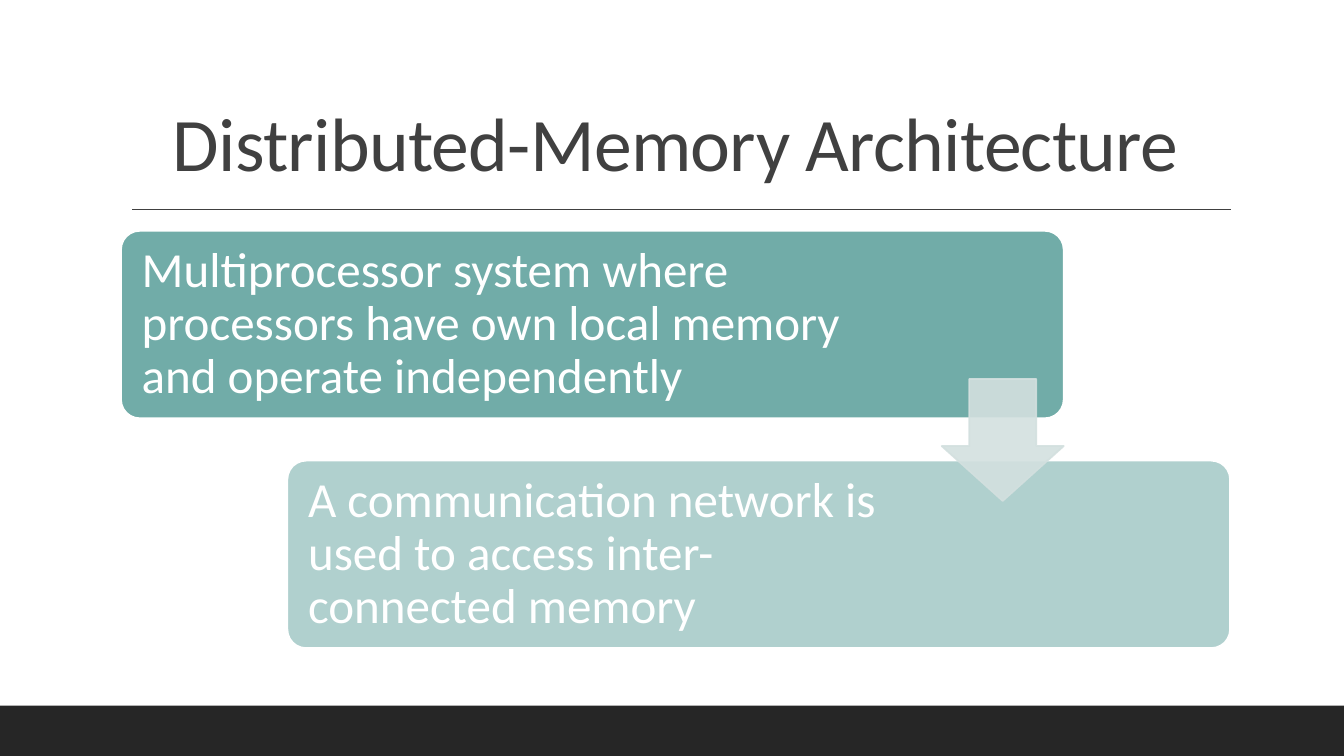
from lxml import etree
from pptx import Presentation
from pptx.dml.color import RGBColor
from pptx.enum.shapes import MSO_CONNECTOR, MSO_SHAPE
from pptx.enum.text import MSO_ANCHOR, MSO_AUTO_SIZE, PP_ALIGN
from pptx.oxml.ns import qn
from pptx.util import Inches, Pt

RECTANGLE, ROUNDED = MSO_SHAPE.RECTANGLE, MSO_SHAPE.ROUNDED_RECTANGLE
DOWN_ARROW, STRAIGHT = MSO_SHAPE.DOWN_ARROW, MSO_CONNECTOR.STRAIGHT
MIDDLE, BOTTOM, CENTER = MSO_ANCHOR.MIDDLE, MSO_ANCHOR.BOTTOM, PP_ALIGN.CENTER
NO_AUTOFIT = MSO_AUTO_SIZE.NONE

WHITE = RGBColor(0xFF, 0xFF, 0xFF)
CHARCOAL = RGBColor(0x26, 0x26, 0x26)
GREY = RGBColor(0x40, 0x40, 0x40)
TEAL = RGBColor(0x62, 0xA3, 0x9F)
PALE_TEAL = RGBColor(0xD3, 0xE0, 0xDF)
FONT = "Calibri"

# Slide and step grid, in inches
WIDTH, HEIGHT = 13.33, 7.5
FOOTER_HEIGHT = HEIGHT / 15
LEFT, TOP = 1.2, 2.29
STEP_WIDTH, STEP_HEIGHT = 9.35, 1.86
SHIFT_X, SHIFT_Y = 1.65, 2.28
TEXT_MARGIN = 0.055
ARROW_SIZE = 1.21

# Text, text width and fill opacity in percent
STEPS = [
    ("Multiprocessor system where processors have own local memory "
     "and operate independently", 7.42, 90),
    ("A communication network is used to access inter-connected memory",
     6.38, 50),
]


def set_opacity(color_format_parent, percent):
    for color in color_format_parent.iter(qn("a:srgbClr")):
        alpha = etree.SubElement(color, qn("a:alpha"))
        alpha.set("val", str(percent * 1000))


def add_block(slide, kind, box, fill, line=None, adjustments=()):
    shape = slide.shapes.add_shape(kind, *map(Inches, box))
    shape.shadow.inherit = False
    shape.fill.solid()
    shape.fill.fore_color.rgb = fill
    if line is None:
        shape.line.fill.background()
    else:
        shape.line.color.rgb = line
        shape.line.width = Pt(1.25)
    for index, value in enumerate(adjustments):
        shape.adjustments[index] = value
    return shape


def format_text(shape, text, size, color, anchor, spacing):
    frame = shape.text_frame
    frame.text = text
    frame.word_wrap = True
    frame.auto_size = NO_AUTOFIT
    frame.vertical_anchor = anchor
    paragraph = frame.paragraphs[0]
    paragraph.line_spacing = spacing
    font = paragraph.runs[0].font
    font.name, font.size, font.color.rgb = FONT, Pt(size), color
    return paragraph


def add_title(slide, text):
    title = slide.shapes.title
    title.left, title.top = Inches(LEFT), Inches(0.31)
    title.width, title.height = Inches(11), Inches(1.59)
    paragraph = format_text(title, text, 54, GREY, BOTTOM, 0.8)
    paragraph.alignment = CENTER
    paragraph.runs[0].font._element.set("spc", "-50")


def add_rule(slide, left, right, top):
    rule = slide.shapes.add_connector(
        STRAIGHT, Inches(left), Inches(top), Inches(right), Inches(top))
    rule.line.color.rgb = GREY
    rule.line.width = Pt(1)
    etree.SubElement(rule._element.spPr, qn("a:effectLst"))


def add_step(slide, index, text, text_width, opacity):
    left, top = LEFT + index * SHIFT_X, TOP + index * SHIFT_Y
    block = add_block(slide, ROUNDED, (left, top, STEP_WIDTH, STEP_HEIGHT),
                      TEAL, WHITE, [0.1])
    set_opacity(block.fill._xPr.find(qn("a:solidFill")), opacity)
    label = slide.shapes.add_textbox(
        Inches(left + TEXT_MARGIN), Inches(top + TEXT_MARGIN),
        Inches(text_width), Inches(STEP_HEIGHT - 2 * TEXT_MARGIN))
    format_text(label, text, 35, WHITE, MIDDLE, 0.9)
    frame = label.text_frame
    frame.margin_left = frame.margin_right = Inches(0.15)
    frame.margin_top = frame.margin_bottom = Inches(0.15)


def add_step_arrow(slide):
    # The arrow ends flush with the right edge of the first step
    left = LEFT + STEP_WIDTH - ARROW_SIZE
    arrow = add_block(slide, DOWN_ARROW, (left, 3.76, ARROW_SIZE, ARROW_SIZE),
                      PALE_TEAL, PALE_TEAL, [0.55, 0.45])
    set_opacity(arrow._element.spPr, 90)


def main():
    presentation = Presentation()
    presentation.slide_width = Inches(WIDTH)
    presentation.slide_height = Inches(HEIGHT)
    slide = presentation.slides.add_slide(presentation.slide_layouts[5])

    # Footer band, title and rule
    add_block(slide, RECTANGLE,
              (0, HEIGHT - FOOTER_HEIGHT, WIDTH, FOOTER_HEIGHT), CHARCOAL)
    add_rule(slide, 1.31, 12.21, 2.08)
    add_title(slide, "Distributed-Memory Architecture")

    # Staggered steps joined by an arrow
    for index, step in enumerate(STEPS):
        add_step(slide, index, *step)
    add_step_arrow(slide)

    presentation.save("out.pptx")


if __name__ == "__main__":
    main()
